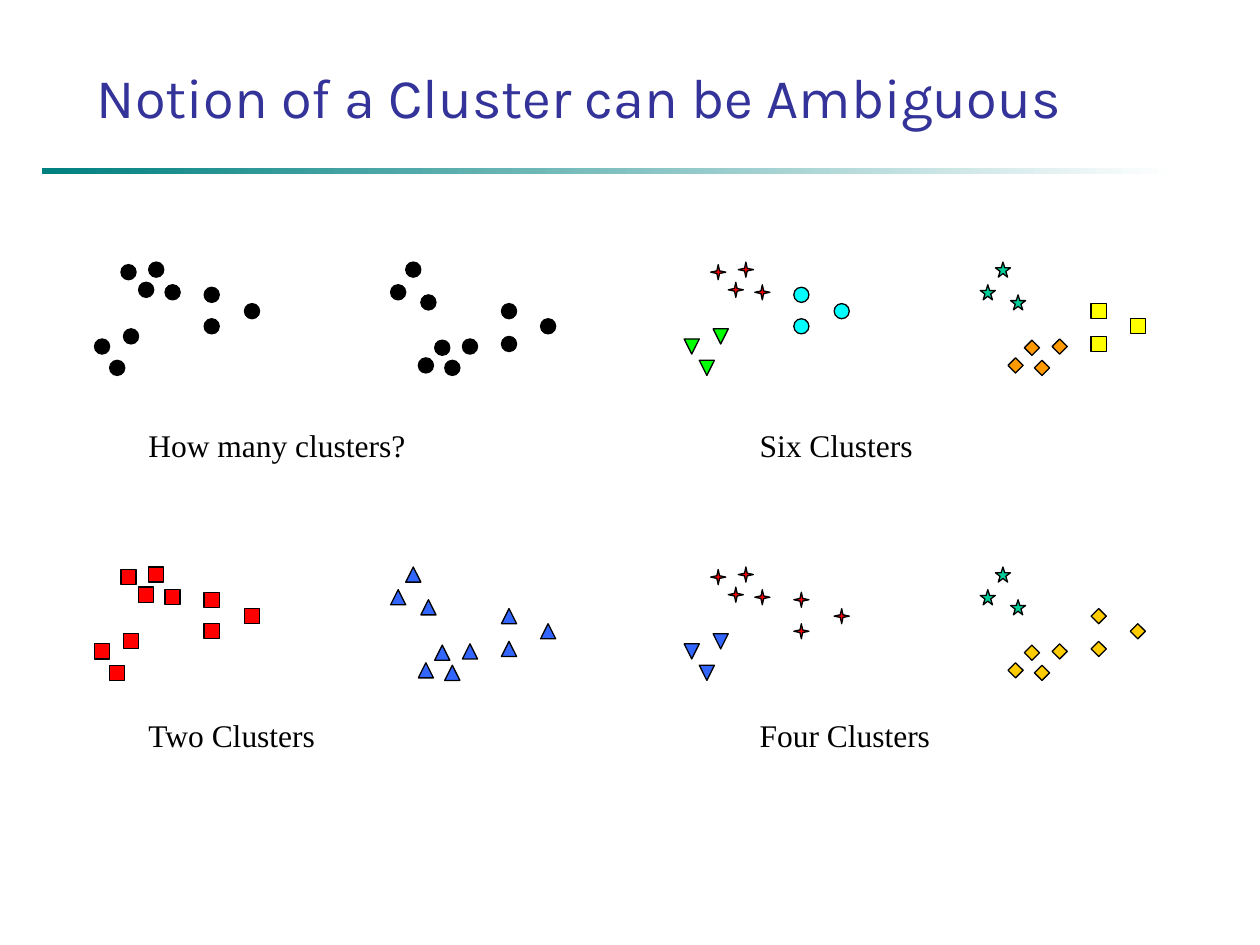
import dataclasses
import itertools
from typing import NamedTuple

import pptx
import pptx.dml.color
import pptx.enum.shapes
import pptx.enum.text
import pptx.util

EMU_PER_PX = 9144
MARKER_SIZE = 12
SHAPES = pptx.enum.shapes.MSO_SHAPE
ANCHORS = pptx.enum.text.MSO_ANCHOR

FIELD_LEFT, FIELD_TOP = 75, 208
FIELD_STEP_X, FIELD_STEP_Y = 468, 242
CAPTION_LEFT, CAPTION_TOP = 108, 333
CAPTION_STEP_X, CAPTION_STEP_Y = 485, 230

POINT_GROUPS = {
    "lower right": [(292, 61), (257, 76), (278, 78), (270, 62)],
    "upper right": [(259, 26), (235, 18), (247, 0)],
    "far right": [(323, 59), (354, 45), (323, 33)],
    "upper left": [(56, 18), (21, 2), (43, 0), (35, 16)],
    "lower left": [(23, 53), (0, 61), (12, 78)],
    "mid left": [(87, 20), (119, 33), (87, 45)],
}


class Box(NamedTuple):
    left: int
    top: int
    width: int
    height: int


class Marker(NamedTuple):
    preset: int
    color: str


@dataclasses.dataclass
class Clustering:
    caption: str
    markers: list[Marker]


BLACK_DOT = Marker(SHAPES.OVAL, "000000")
RED_SQUARE = Marker(SHAPES.RECTANGLE, "FF0000")
BLUE_TRIANGLE = Marker(SHAPES.ISOSCELES_TRIANGLE, "3366FF")
RED_SPARK = Marker(SHAPES.STAR_4_POINT, "FF0000")
GREEN_STAR = Marker(SHAPES.STAR_5_POINT, "00CC99")
GOLD_DIAMOND = Marker(SHAPES.DIAMOND, "FFCC00")

CLUSTERINGS = [
    Clustering("How many clusters?", [BLACK_DOT] * 6),
    Clustering("Six Clusters", [
        Marker(SHAPES.DIAMOND, "FF9900"),
        GREEN_STAR,
        Marker(SHAPES.RECTANGLE, "FFFF00"),
        RED_SPARK,
        Marker(SHAPES.FLOWCHART_MERGE, "00FF00"),
        Marker(SHAPES.OVAL, "00FFFF"),
    ]),
    Clustering("Two Clusters", [BLUE_TRIANGLE] * 3 + [RED_SQUARE] * 3),
    Clustering("Four Clusters", [
        GOLD_DIAMOND,
        GREEN_STAR,
        GOLD_DIAMOND,
        RED_SPARK,
        Marker(SHAPES.FLOWCHART_MERGE, "3366FF"),
        RED_SPARK,
    ]),
]


def px(length: int) -> int:
    return pptx.util.Emu(length * EMU_PER_PX)


def rgb(color: str) -> pptx.dml.color.RGBColor:
    return pptx.dml.color.RGBColor.from_string(color)


def apply_format(target, values: dict) -> None:
    for attribute, value in values.items():
        setattr(target, attribute, value)


def draw_text(slide, box: Box, text: str, font: dict, color: str, anchor) -> None:
    frame = slide.shapes.add_textbox(*map(px, box)).text_frame
    apply_format(frame, {"word_wrap": True, "vertical_anchor": anchor})
    run = frame.paragraphs[0].add_run()
    run.text = text
    apply_format(run.font, font)
    run.font.color.rgb = rgb(color)


def draw_rule(slide, box: Box, colors: list[str]) -> None:
    rule = slide.shapes.add_shape(SHAPES.RECTANGLE, *map(px, box))
    rule.shadow.inherit = False
    rule.line.fill.background()
    rule.fill.gradient()
    rule.fill.gradient_angle = 0
    for stop, color in zip(rule.fill.gradient_stops, colors):
        stop.color.rgb = rgb(color)


def draw_marker(slide, marker: Marker, left: int, top: int) -> None:
    box = Box(left, top, MARKER_SIZE, MARKER_SIZE)
    point = slide.shapes.add_shape(marker.preset, *map(px, box))
    point.shadow.inherit = False
    point.fill.solid()
    point.fill.fore_color.rgb = rgb(marker.color)
    point.line.color.rgb = rgb("000000")
    point.line.width = pptx.util.Pt(0.75)


def draw_clustering(slide, clustering: Clustering, row: int, column: int) -> None:
    left = FIELD_LEFT + column * FIELD_STEP_X
    top = FIELD_TOP + row * FIELD_STEP_Y
    for marker, points in zip(clustering.markers, POINT_GROUPS.values()):
        for x, y in points:
            draw_marker(slide, marker, left + x, top + y)
    caption_box = Box(CAPTION_LEFT + column * CAPTION_STEP_X,
                      CAPTION_TOP + row * CAPTION_STEP_Y, 250, 40)
    caption_font = {"name": "Times New Roman", "size": pptx.util.Pt(18)}
    draw_text(slide, caption_box, clustering.caption, caption_font, "000000", ANCHORS.TOP)


def main() -> None:
    deck = pptx.Presentation()
    apply_format(deck, {"slide_width": px(1000), "slide_height": px(750)})
    slide = deck.slides.add_slide(deck.slide_layouts[6])
    draw_rule(slide, Box(33, 133, 900, 5), ["008080", "FFFFFF"])
    title_font = {"name": "Karla", "size": pptx.util.Pt(32)}
    draw_text(slide, Box(67, 42, 851, 66), "Notion of a Cluster can be Ambiguous",
              title_font, "333399", ANCHORS.BOTTOM)
    cells = itertools.product(range(2), repeat=2)
    for clustering, (row, column) in zip(CLUSTERINGS, cells):
        draw_clustering(slide, clustering, row, column)
    deck.save("out.pptx")


if __name__ == "__main__":
    main()
